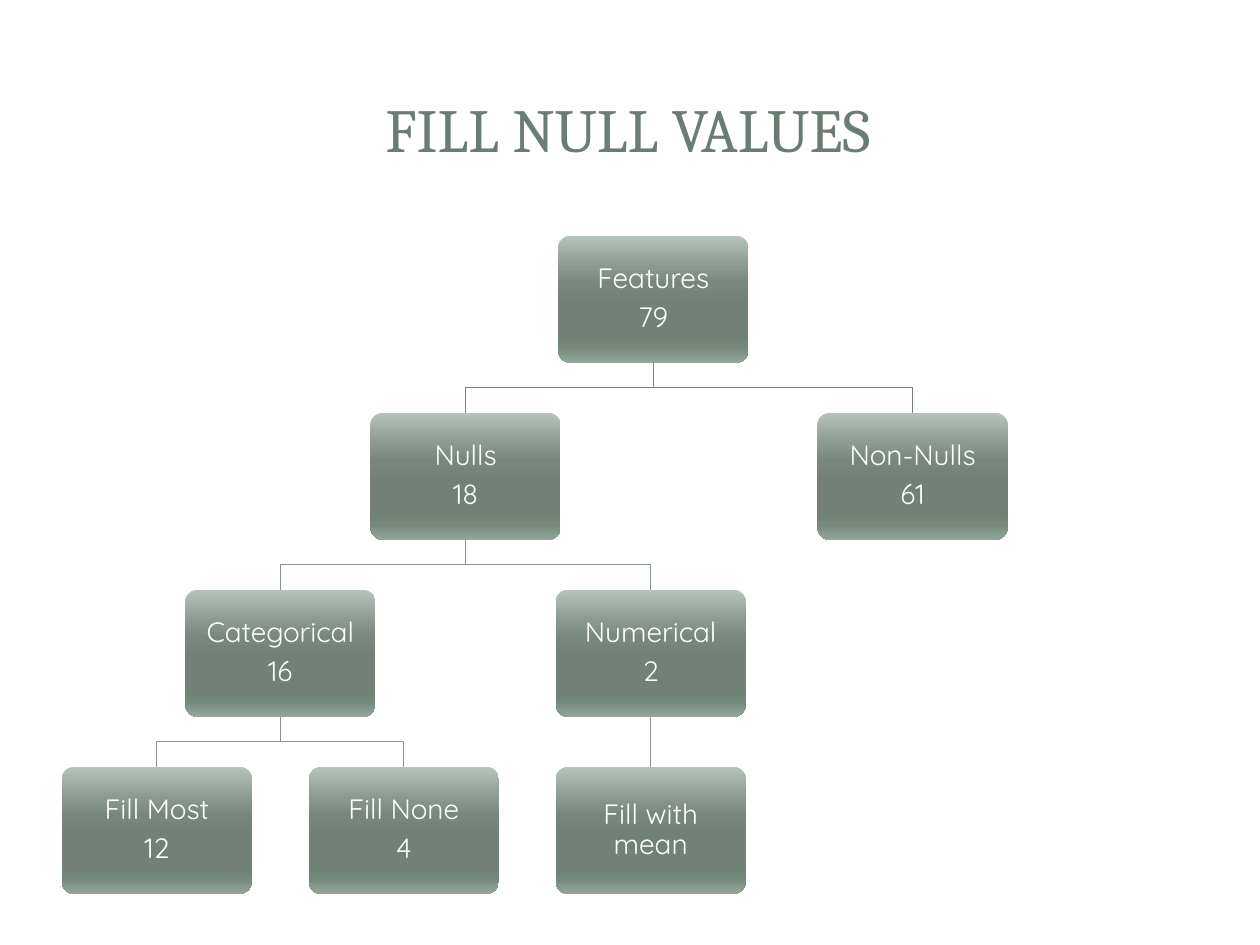
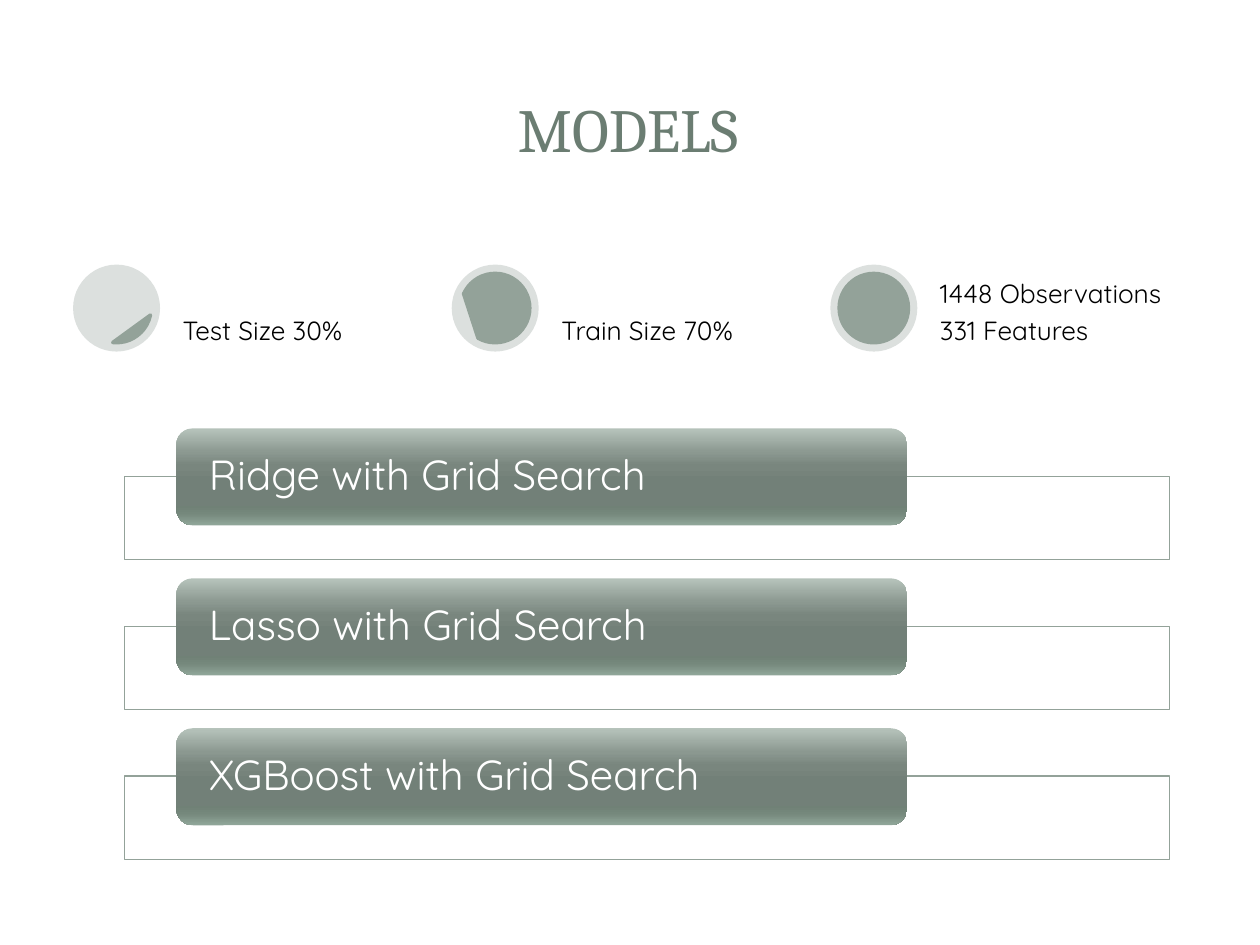
import dataclasses
import typing

import lxml.etree
import pptx
import pptx.dml.color
import pptx.enum.shapes
import pptx.enum.text
import pptx.oxml.ns
import pptx.presentation
import pptx.shapes.autoshape
import pptx.shapes.base
import pptx.slide
import pptx.util

SHAPES = pptx.enum.shapes.MSO_SHAPE
ALIGN = pptx.enum.text.PP_ALIGN
ANCHOR = pptx.enum.text.MSO_ANCHOR
inches = pptx.util.Inches

SLIDE_WIDTH, SLIDE_HEIGHT = 10, 7.5
COLOURS = {
    "title": "6B7D72",
    "white": "FFFFFF",
    "black": "000000",
    "dial": "DCE0DE",
    "sage": "93A299",
    "root branch": "76827B",
    "branch": "85938B",
}
GLOSS = {0: "B6C3BB", 25: "8B9890", 38: "79867E", 55: "728078",
         80: "708176", 88: "75887C", 100: "91A79A"}
TITLE_FONT, BODY_FONT = "Cambria", "Quicksand"


class Box(typing.NamedTuple):
    """Left, top, width and height in inches."""
    left: float
    top: float
    width: float
    height: float


@dataclasses.dataclass(frozen=True)
class Node:
    """A tree box; column and row count steps of the tree grid."""
    lines: tuple[str, ...]
    column: float
    row: int
    parent: str = ""


@dataclasses.dataclass(frozen=True)
class Dial:
    """A partly filled disc; start and end are chord angles in degrees."""
    lines: tuple[str, ...]
    start: float
    end: float


TREE_LEFT, TREE_TOP = 0.49, 1.87
COLUMN_STEP, ROW_STEP = 0.49, 1.405
NODE_WIDTH, NODE_HEIGHT = 1.51, 1.01
NODES = (
    Node(("Features", "79"), 8.04, 0),
    Node(("Nulls", "18"), 5, 1, "Features"),
    Node(("Non-Nulls", "61"), 12.24, 1, "Features"),
    Node(("Categorical", "16"), 2, 2, "Nulls"),
    Node(("Numerical", "2"), 8, 2, "Nulls"),
    Node(("Fill Most", "12"), 0, 3, "Categorical"),
    Node(("Fill None", "4"), 4, 3, "Categorical"),
    Node(("Fill with mean",), 8, 3, "Numerical"),
)

DIAL_LEFT, DIAL_TOP, DIAL_STEP, DIAL_SIZE, DIAL_RIM = 0.58, 2.1, 3.005, 0.69, 0.07
DIALS = (
    Dial(("Test Size 30%",), 11.68, 96.32),
    Dial(("Train Size 70%",), 204.32, 119.68),
    Dial(("1448 Observations", "331 Features"), 162, 162),
)

MODEL_TOP, MODEL_STEP = 3.4, 1.19
MODELS = ("Ridge with Grid Search", "Lasso with Grid Search", "XGBoost with Grid Search")


def colour(name: str) -> pptx.dml.color.RGBColor:
    return pptx.dml.color.RGBColor.from_string(COLOURS[name])


def add_shape(slide: pptx.slide.Slide, kind: SHAPES, box: Box, fill: str = "",
              line: str = "", line_width: float = 0.75) -> pptx.shapes.autoshape.Shape:
    shape = slide.shapes.add_shape(kind, *map(inches, box))
    shape.shadow.inherit = False
    if fill:
        shape.fill.solid()
        shape.fill.fore_color.rgb = colour(fill)
    else:
        shape.fill.background()
    if line:
        shape.line.color.rgb = colour(line)
        shape.line.width = pptx.util.Pt(line_width)
    else:
        shape.line.fill.background()
    return shape


def add_glossy_box(slide: pptx.slide.Slide, box: Box,
                   corner: float) -> pptx.shapes.autoshape.Shape:
    """Add a rounded box shaded from top to bottom."""
    shape = add_shape(slide, SHAPES.ROUNDED_RECTANGLE, box)
    shape.adjustments[0] = corner
    shape.fill.gradient()
    shape.fill.gradient_angle = 270
    qn = pptx.oxml.ns.qn
    stops = shape.element.spPr.find(f"{qn('a:gradFill')}/{qn('a:gsLst')}")
    stops.clear()
    for percent, value in GLOSS.items():
        stop = lxml.etree.SubElement(stops, qn("a:gs"), pos=str(percent * 1000))
        lxml.etree.SubElement(stop, qn("a:srgbClr"), val=value)
    return shape


def write_text(shape: pptx.shapes.autoshape.Shape, lines: tuple[str, ...], *,
               size: float, ink: str, font: str = BODY_FONT,
               align: ALIGN = ALIGN.LEFT, anchor: ANCHOR = ANCHOR.MIDDLE,
               margins: tuple[float, float] = (0.1, 0.05),
               line_spacing: float = 0.9, space_after: float = 5) -> None:
    """Fill a shape with paragraphs; margins are horizontal and vertical."""
    frame = shape.text_frame
    frame.word_wrap = True
    frame.vertical_anchor = anchor
    frame.margin_left = frame.margin_right = inches(margins[0])
    frame.margin_top = frame.margin_bottom = inches(margins[1])
    for index, line in enumerate(lines):
        paragraph = frame.add_paragraph() if index else frame.paragraphs[0]
        paragraph.alignment = align
        paragraph.line_spacing = line_spacing
        paragraph.space_after = pptx.util.Pt(space_after)
        run = paragraph.add_run()
        run.text = line
        run.font.name = font
        run.font.size = pptx.util.Pt(size)
        run.font.color.rgb = colour(ink)


def add_titled_slide(presentation: pptx.presentation.Presentation,
                     title: str) -> pptx.slide.Slide:
    slide = presentation.slides.add_slide(presentation.slide_layouts[6])
    box = Box(0.047 * SLIDE_WIDTH, 0.06 * SLIDE_HEIGHT,
              0.903 * SLIDE_WIDTH, 0.152 * SLIDE_HEIGHT)
    write_text(slide.shapes.add_textbox(*map(inches, box)), (title,), size=35,
               ink="title", font=TITLE_FONT, align=ALIGN.CENTER,
               line_spacing=1, space_after=0)
    return slide


def add_branch(slide: pptx.slide.Slide, parent: pptx.shapes.base.BaseShape,
               child: pptx.shapes.base.BaseShape, ink: str) -> None:
    """Join the parent's bottom to the child's top, with a bend if needed."""
    start_x, end_x = (shape.left + shape.width // 2 for shape in (parent, child))
    start_y, end_y = parent.top + parent.height, child.top
    if start_x == end_x:
        branch = slide.shapes.add_connector(
            pptx.enum.shapes.MSO_CONNECTOR.STRAIGHT, start_x, start_y, end_x, end_y)
        branch.begin_connect(parent, 2)
        branch.end_connect(child, 0)
        lxml.etree.SubElement(branch.element.spPr, pptx.oxml.ns.qn("a:effectLst"))
    else:
        middle_y = (start_y + end_y) // 2
        builder = slide.shapes.build_freeform(start_x, start_y)
        builder.add_line_segments(
            [(start_x, middle_y), (end_x, middle_y), (end_x, end_y)], close=False)
        branch = builder.convert_to_shape()
        branch.fill.background()
        branch.shadow.inherit = False
    branch.line.color.rgb = colour(ink)
    branch.line.width = pptx.util.Pt(0.75)


def build_null_tree(presentation: pptx.presentation.Presentation) -> None:
    slide = add_titled_slide(presentation, "FILL NULL VALUES")
    boxes: dict[str, pptx.shapes.autoshape.Shape] = {}
    for node in NODES:
        box = Box(TREE_LEFT + node.column * COLUMN_STEP,
                  TREE_TOP + node.row * ROW_STEP, NODE_WIDTH, NODE_HEIGHT)
        shape = add_glossy_box(slide, box, corner=0.1)
        write_text(shape, node.lines, size=16, ink="white",
                   align=ALIGN.CENTER, margins=(0.07, 0.07))
        boxes[node.lines[0]] = shape
        if node.parent:
            ink = "root branch" if node.row == 1 else "branch"
            add_branch(slide, boxes[node.parent], shape, ink)


def add_dial(slide: pptx.slide.Slide, dial: Dial, left: float) -> None:
    add_shape(slide, SHAPES.OVAL, Box(left, DIAL_TOP, DIAL_SIZE, DIAL_SIZE), "dial")
    inner = DIAL_SIZE - 2 * DIAL_RIM
    level = add_shape(slide, SHAPES.CHORD,
                      Box(left + DIAL_RIM, DIAL_TOP + DIAL_RIM, inner, inner),
                      "sage", "sage", 2)
    # Angles are stored in 60000ths of a degree, adjustments in 100000ths.
    for index, angle in enumerate((dial.start, dial.end)):
        level.adjustments[index] = angle * 0.6
    label = slide.shapes.add_textbox(
        *map(inches, Box(left + 0.83, DIAL_TOP, 2.03, DIAL_SIZE)))
    write_text(label, dial.lines, size=15, ink="black",
               anchor=ANCHOR.BOTTOM, margins=(0.04, 0.04))


def build_models(presentation: pptx.presentation.Presentation) -> None:
    slide = add_titled_slide(presentation, "MODELS")
    for index, dial in enumerate(DIALS):
        add_dial(slide, dial, DIAL_LEFT + index * DIAL_STEP)
    for index, model in enumerate(MODELS):
        top = MODEL_TOP + index * MODEL_STEP
        add_shape(slide, SHAPES.RECTANGLE, Box(0.99, top + 0.38, 8.29, 0.66),
                  "white", "sage")
        bar = add_glossy_box(slide, Box(1.4, top, 5.8, 0.77), corner=0.17)
        write_text(bar, (model,), size=24, ink="white", margins=(0.22, 0))


def main() -> None:
    presentation = pptx.Presentation()
    presentation.slide_width = inches(SLIDE_WIDTH)
    presentation.slide_height = inches(SLIDE_HEIGHT)
    build_null_tree(presentation)
    build_models(presentation)
    presentation.save("out.pptx")


if __name__ == "__main__":
    main()
